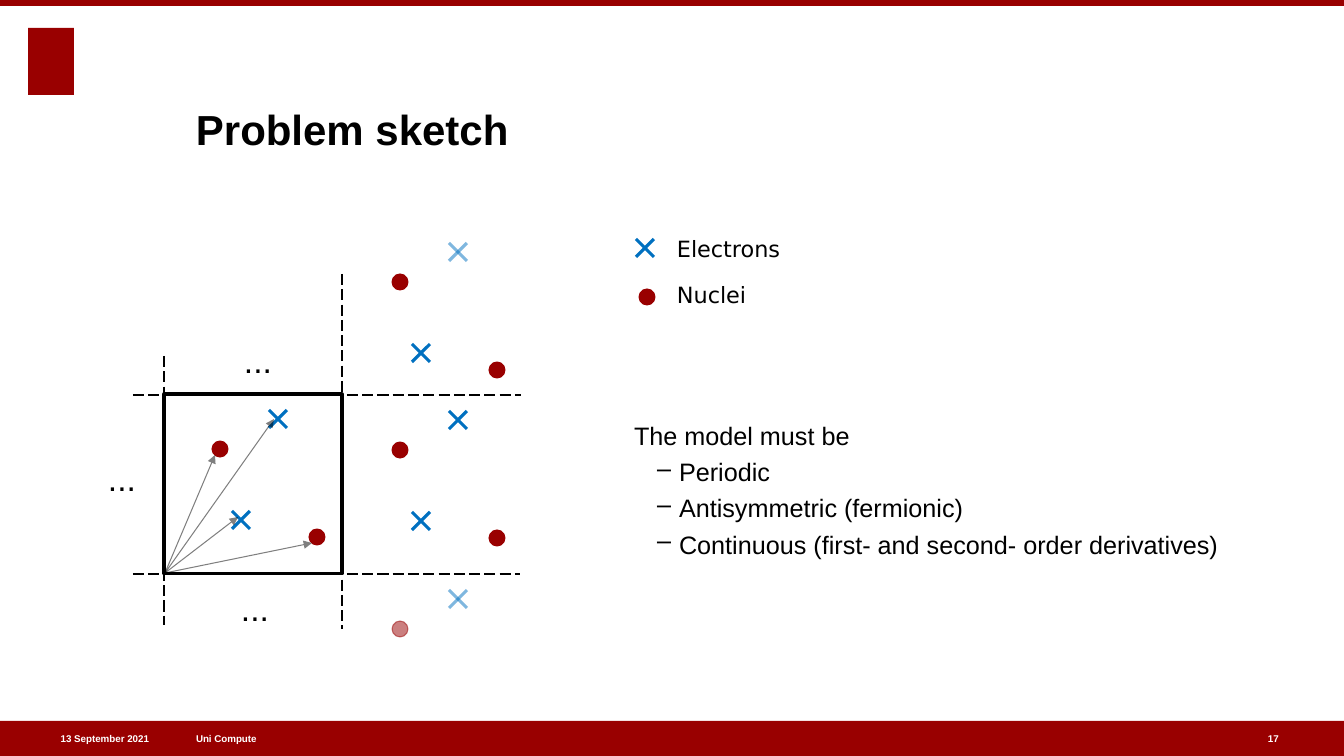
from lxml.etree import SubElement
from pptx import Presentation
from pptx.dml.color import RGBColor
from pptx.enum.dml import MSO_LINE
from pptx.enum.shapes import MSO_CONNECTOR, MSO_SHAPE
from pptx.enum.text import MSO_ANCHOR, PP_ALIGN
from pptx.oxml.ns import qn
from pptx.util import Emu, Pt

EMU_PER_PX = 914400 / 100.8
COLORS = {
    "red": "990000",
    "blue": "0070C0",
    "black": "000000",
    "white": "FFFFFF",
}

# Unit cell and the particles in it, as centre points
CELL_LEFT, CELL_TOP, CELL_WIDTH, CELL_HEIGHT = 164, 394, 178, 180
NUCLEI = [(220, 449), (317, 537)]
ELECTRONS = [(278, 419), (241, 520)]
NUCLEUS_RADIUS = 8
CROSS_RADIUS = 9


def px(length):
    return Emu(round(length * EMU_PER_PX))


def color(name):
    return RGBColor.from_string(COLORS[name])


def fade(element):
    """Make every colour of a shape or connector half transparent."""
    for clr in element._element.spPr.iter(qn("a:srgbClr")):
        SubElement(clr, qn("a:alpha")).set("val", "50000")


def add_filled(slide, preset, left, top, width, height, faded=False):
    shape = slide.shapes.add_shape(preset, px(left), px(top), px(width), px(height))
    shape.shadow.inherit = False
    shape.fill.solid()
    shape.fill.fore_color.rgb = color("red")
    shape.line.color.rgb = color("red")
    shape.line.width = Pt(0.75)
    if faded:
        fade(shape)
    return shape


def add_bar(slide, left, top, width, height):
    add_filled(slide, MSO_SHAPE.RECTANGLE, left, top, width, height).line.fill.background()


def add_nucleus(slide, x, y, faded=False):
    size = 2 * NUCLEUS_RADIUS
    add_filled(slide, MSO_SHAPE.OVAL, x - NUCLEUS_RADIUS, y - NUCLEUS_RADIUS,
               size, size, faded)


def add_line(shapes, start, end, name, width, dashed=False, faded=False, arrow=False):
    line = shapes.add_connector(MSO_CONNECTOR.STRAIGHT, *map(px, start + end))
    line.line.color.rgb = color(name)
    line.line.width = Pt(width)
    if dashed:
        line.line.dash_style = MSO_LINE.LONG_DASH
    if faded:
        fade(line)
    if arrow:
        SubElement(line.line._get_or_add_ln(), qn("a:tailEnd")).set("type", "triangle")
    SubElement(line._element.spPr, qn("a:effectLst"))


def add_electron(slide, x, y, faded=False):
    cross = slide.shapes.add_group_shape().shapes
    r = CROSS_RADIUS
    for slope in (1, -1):
        add_line(cross, (x - r, y - slope * r), (x + r, y + slope * r),
                 "blue", 2.25, faded=faded)


def add_text(slide, box, text, size, name="black", bold=False, font="Arial",
             anchor=MSO_ANCHOR.TOP, align=PP_ALIGN.LEFT):
    frame = slide.shapes.add_textbox(*map(px, box)).text_frame
    frame.word_wrap = True
    frame.vertical_anchor = anchor
    frame.margin_left = frame.margin_right = 0
    frame.margin_top = frame.margin_bottom = 0
    frame.text = text
    for paragraph in frame.paragraphs:
        paragraph.alignment = align
        for run in paragraph.runs:
            run.font.size = Pt(size)
            run.font.name = font
            run.font.bold = bold
            run.font.color.rgb = color(name)
    return frame


def add_dash_bullet(paragraph):
    paragraph.level = 1
    properties = paragraph._p.get_or_add_pPr()
    properties.set("marL", str(px(45)))
    properties.set("indent", str(px(-22)))
    SubElement(properties, qn("a:buChar")).set("char", "–")


def add_page_frame(slide):
    add_bar(slide, 28, 28, 46, 67)  # emblem
    add_bar(slide, 0, 721, 1344, 35)
    add_bar(slide, 0, 0, 1344, 6)
    for left, width, text, align in [
        (196, 375, "Uni Compute", PP_ALIGN.LEFT),
        (27, 122, "13 September 2021", PP_ALIGN.RIGHT),
        (1268, 47, "17", PP_ALIGN.LEFT),
    ]:
        add_text(slide, (left, 721, width, 35), text, 7, "white", True,
                 anchor=MSO_ANCHOR.MIDDLE, align=align)


def add_lattice(slide):
    # Unit cell
    cell = slide.shapes.add_shape(MSO_SHAPE.RECTANGLE, px(CELL_LEFT), px(CELL_TOP),
                                  px(CELL_WIDTH), px(CELL_HEIGHT))
    cell.shadow.inherit = False
    cell.fill.background()
    cell.line.color.rgb = color("black")
    cell.line.width = Pt(2.25)

    # Dashed cell borders
    right, bottom = CELL_LEFT + CELL_WIDTH, CELL_TOP + CELL_HEIGHT
    for start, end in [
        ((right, 274), (right, 629)),
        ((133, bottom), (520, bottom)),
        ((CELL_LEFT, 356), (CELL_LEFT, 625)),
        ((133, CELL_TOP + 1), (521, CELL_TOP + 1)),
    ]:
        add_line(slide.shapes, start, end, "black", 1, dashed=True)

    # Particles of the cell and its periodic images: shift, count, faded ones
    for dx, dy, count, faded_nuclei, faded_electrons in [
        (0, 0, 2, 0, 0),
        (180, 1, 2, 0, 0),
        (180, -167, 2, 0, 1),
        (180, 180, 1, 1, 1),
    ]:
        for i in range(count):
            nucleus_x, nucleus_y = NUCLEI[i]
            electron_x, electron_y = ELECTRONS[i]
            add_nucleus(slide, nucleus_x + dx, nucleus_y + dy, i < faded_nuclei)
            add_electron(slide, electron_x + dx, electron_y + dy, i < faded_electrons)

    # Position vectors
    for tip in [(215, 455), (238, 517), (312, 543), (274, 419)]:
        add_line(slide.shapes, (CELL_LEFT + 1, bottom - 1), tip, "black", 0.75,
                 faded=True, arrow=True)

    # Continuation dots
    for left, top in [(244, 340), (108, 458), (241, 588)]:
        add_text(slide, (left, top, 55, 40), "...", 24)


def add_legend(slide):
    add_electron(slide, 645, 248)
    add_nucleus(slide, 647, 297)
    for top, label in [(235, "Electrons"), (281, "Nuclei")]:
        add_text(slide, (677, top, 616, 27), label, 16, font="DejaVu Sans")


def add_requirements(slide):
    lines = ["The model must be", "Periodic", "Antisymmetric (fermionic)",
             "Continuous (first- and second- order derivatives)"]
    requirements = add_text(slide, (634, 420, 735, 198), "\n".join(lines), 18)
    for paragraph in requirements.paragraphs:
        paragraph.space_before = Pt(4.3)
    for paragraph in requirements.paragraphs[1:]:
        add_dash_bullet(paragraph)


def main():
    presentation = Presentation()
    presentation.slide_width, presentation.slide_height = px(1344), px(756)
    slide = presentation.slides.add_slide(presentation.slide_layouts[6])
    add_page_frame(slide)
    add_text(slide, (196, 47, 1026, 107), "Problem sketch", 30, bold=True,
             anchor=MSO_ANCHOR.BOTTOM)
    add_requirements(slide)
    add_lattice(slide)
    add_legend(slide)
    presentation.save("out.pptx")


if __name__ == "__main__":
    main()
